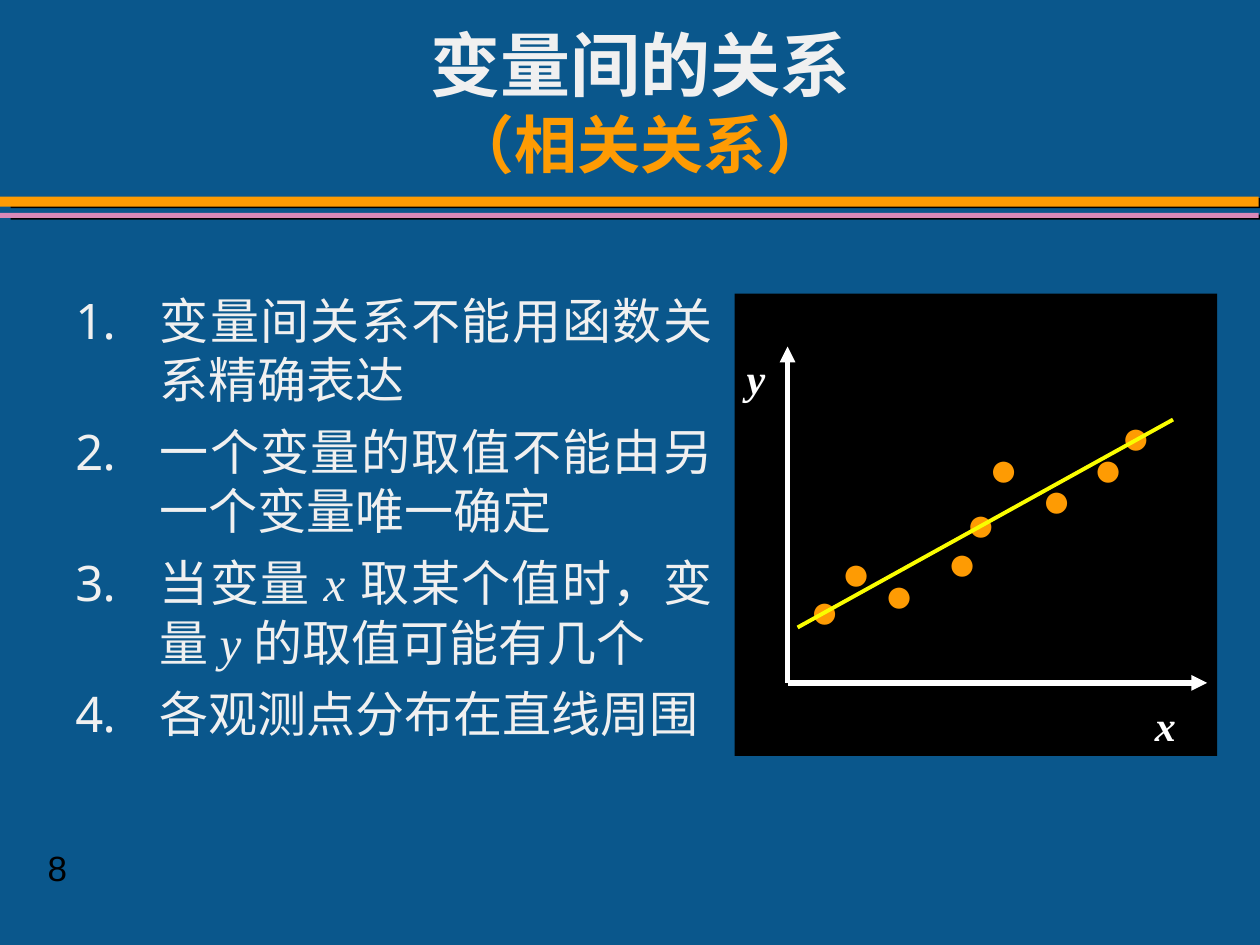
from lxml import etree
from pptx import Presentation
from pptx.dml.color import RGBColor
from pptx.enum.shapes import MSO_CONNECTOR, MSO_SHAPE
from pptx.enum.text import MSO_ANCHOR, PP_ALIGN
from pptx.oxml.ns import qn
from pptx.util import Inches, Pt

BLUE = RGBColor(0x0A, 0x57, 0x8C)
ORANGE = RGBColor(0xFE, 0x9B, 0x03)
PINK = RGBColor(0xD9, 0x89, 0xB8)
YELLOW = RGBColor(0xFA, 0xFD, 0x00)
PALE = RGBColor(0xF0, 0xF0, 0xF0)
WHITE = RGBColor(0xFF, 0xFF, 0xFF)
BLACK = RGBColor(0, 0, 0)
CHINESE_FONT = "宋体"


class SlideBuilder:
    """Holds the current slide and draws each kind of element on it."""

    def __init__(self, slide):
        self.slide = slide
        fill = slide.background.fill
        fill.solid()
        fill.fore_color.rgb = BLUE

    def rectangle(self, left, top, width, height, color, shadow=False):
        shape = self.slide.shapes.add_shape(
            MSO_SHAPE.RECTANGLE, Inches(left), Inches(top), Inches(width), Inches(height))
        shape.shadow.inherit = False
        shape.fill.solid()
        shape.fill.fore_color.rgb = color
        shape.line.fill.background()
        if shadow:
            effects = shape._element.spPr.find(qn("a:effectLst"))
            outer = etree.SubElement(effects, qn("a:outerShdw"), dist=str(Pt(6.1)),
                                     dir=str(9 * 60000), algn="ctr", rotWithShape="0")
            etree.SubElement(outer, qn("a:srgbClr"), val=str(BLACK))

    def line(self, start, end, color, width, arrow=False):
        connector = self.slide.shapes.add_connector(
            MSO_CONNECTOR.STRAIGHT, *(Inches(value) for value in (*start, *end)))
        connector.line.color.rgb = color
        connector.line.width = Pt(width)
        if arrow:
            etree.SubElement(connector.line._get_or_add_ln(), qn("a:tailEnd"), type="triangle")
        etree.SubElement(connector._element.spPr, qn("a:effectLst"))

    def text_box(self, left, top, width, height, text="", wrap=True):
        box = self.slide.shapes.add_textbox(
            Inches(left), Inches(top), Inches(width), Inches(height))
        frame = box.text_frame
        frame.word_wrap = wrap
        frame.text = text
        return frame

    def style(self, run, font_name, size, color, bold=False, italic=False,
              east_asian=CHINESE_FONT):
        font = run.font
        font.name = font_name
        font.size = Pt(size)
        font.color.rgb = color
        font.bold = bold
        font.italic = italic
        properties = run._r.get_or_add_rPr()
        properties.set("lang", "zh-CN")
        latin = properties.find(qn("a:latin"))
        latin.addnext(latin.makeelement(qn("a:ea"), {"typeface": east_asian}))

    def title(self, left, top, width, height, lines):
        frame = self.text_box(left, top, width, height)
        frame.vertical_anchor = MSO_ANCHOR.MIDDLE
        paragraph = frame.paragraphs[0]
        paragraph.alignment = PP_ALIGN.CENTER
        paragraph.line_spacing = Pt(43.5)
        for index, (text, size, color) in enumerate(lines):
            if index:
                paragraph.add_line_break()
            run = paragraph.add_run()
            run.text = text
            self.style(run, "Cambria", size, color, bold=True)

    def numbered_list(self, left, top, width, height, items):
        """Each item is a list of pieces; the variables x and y are set in italics."""
        frame = self.text_box(left, top, width, height)
        for index, pieces in enumerate(items):
            paragraph = frame.add_paragraph() if index else frame.paragraphs[0]
            paragraph.alignment = PP_ALIGN.JUSTIFY
            paragraph.line_spacing = Pt(34)
            if index:
                paragraph.space_before = Pt(7)
            properties = paragraph._p.get_or_add_pPr()
            properties.set("marL", str(Inches(0.67)))
            properties.set("indent", str(-Inches(0.67)))
            bullet_color = etree.SubElement(properties, qn("a:buClr"))
            etree.SubElement(bullet_color, qn("a:srgbClr"), val=str(PALE))
            etree.SubElement(properties, qn("a:buFont"), typeface=CHINESE_FONT)
            etree.SubElement(properties, qn("a:buAutoNum"), type="arabicPeriod")
            for piece in pieces:
                run = paragraph.add_run()
                run.text = piece
                self.style(run, "Times New Roman", 28, PALE, italic=piece.strip() in ("x", "y"))

    def label(self, left, top, width, height, text, size, color, font_name="Arial",
              emphasis=False, wrap=True):
        frame = self.text_box(left, top, width, height, text, wrap)
        paragraph = frame.paragraphs[0]
        paragraph.alignment = PP_ALIGN.CENTER if emphasis else PP_ALIGN.LEFT
        self.style(paragraph.runs[0], font_name, size, color, emphasis, emphasis, font_name)


def main():
    presentation = Presentation()
    presentation.slide_width = Inches(10)
    presentation.slide_height = Inches(7.5)
    builder = SlideBuilder(presentation.slides.add_slide(presentation.slide_layouts[6]))

    # Divider bars and page number
    builder.rectangle(0, 1.56, 9.99, 0.08, ORANGE, shadow=True)
    builder.rectangle(0, 1.69, 9.99, 0.04, PINK, shadow=True)
    builder.label(0.28, 6.67, 1.47, 0.43, "8", 20, BLACK, wrap=False)

    # Title and numbered points
    builder.title(1.25, 0.25, 7.67, 1.17,
                  [("变量间的关系", 40, PALE), ("（相关关系）", 36, ORANGE)])
    builder.numbered_list(0.5, 2.25, 5.25, 4.33, [
        ["变量间关系不能用函数关系精确表达"],
        ["一个变量的取值不能由另一个变量唯一确定"],
        ["当变量 ", "x ", "取某个值时，变量 ", "y ", "的取值可能有几个"],
        ["各观测点分布在直线周围"],
    ])

    # Scatter diagram: panel and axes
    origin = (6.25, 5.42)
    builder.rectangle(5.83, 2.33, 3.83, 3.67, BLACK)
    builder.line(origin, (6.25, 2.75), WHITE, 3, arrow=True)
    builder.line(origin, (9.58, 5.42), WHITE, 3, arrow=True)

    # Observed points and fitted line
    points = [(6.33, 4.55), (8.8, 3.17), (8.17, 3.67), (8.58, 3.42), (7.75, 3.42),
              (7.57, 3.86), (7.42, 4.17), (6.58, 4.25), (6.92, 4.42)]
    for left, top in points:
        builder.label(left, top, 0.62, 0.57, "●", 28, ORANGE)
    builder.line((6.33, 4.98), (9.31, 3.33), YELLOW, 2.25)

    # Axis names
    for name, left, top in (("x", 9, 5.5), ("y", 5.75, 2.75)):
        builder.label(left, top, 0.5, 0.5, name, 24, WHITE, "Times New Roman", emphasis=True)

    presentation.save("out.pptx")


if __name__ == "__main__":
    main()
